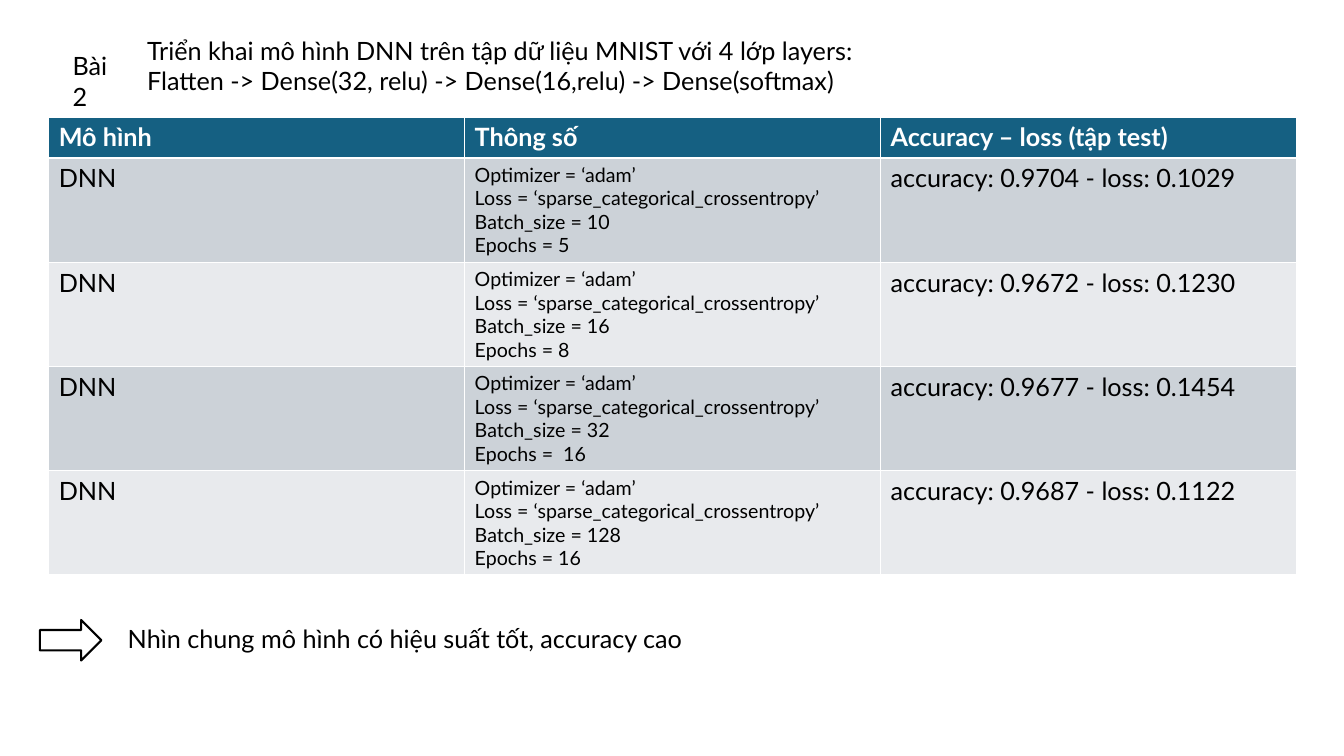
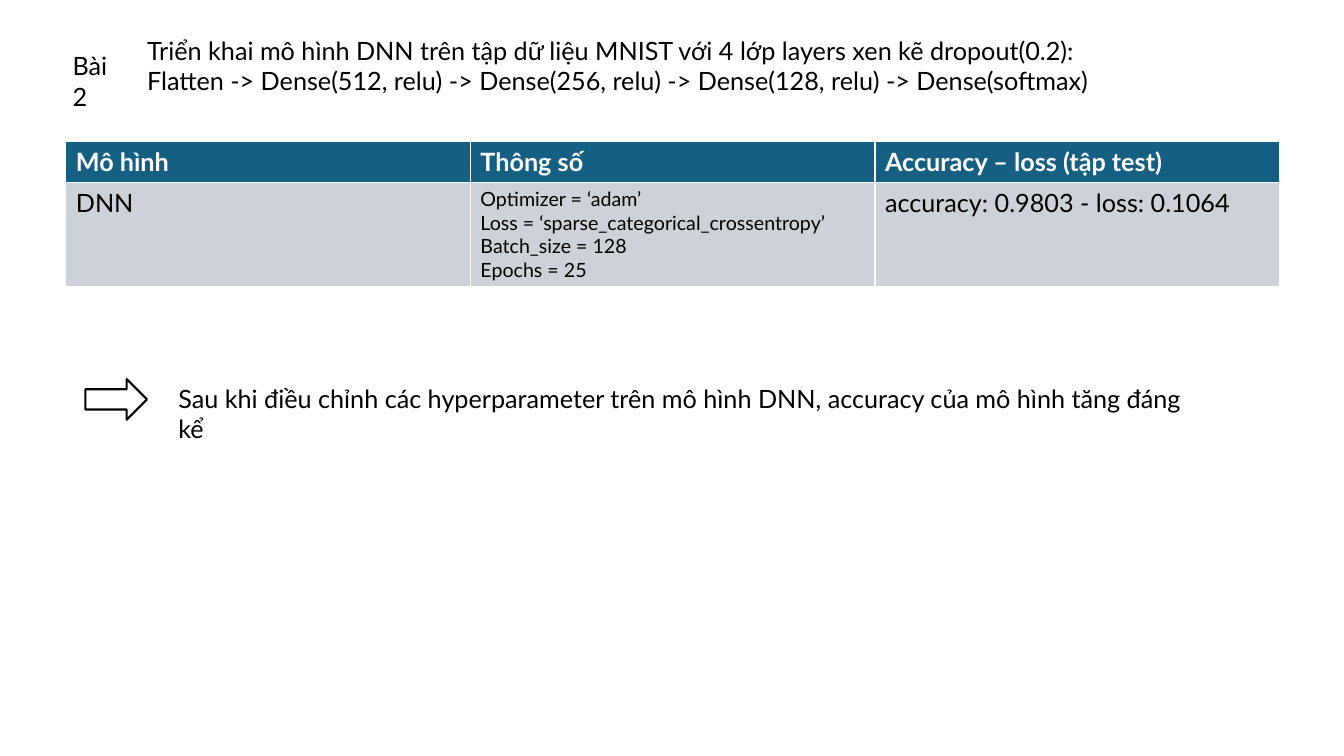
from pptx import Presentation
from pptx.dml.color import RGBColor
from pptx.enum.shapes import MSO_SHAPE
from pptx.util import Pt

RIGHT_ARROW = MSO_SHAPE.RIGHT_ARROW

FONT = "Lato"
BLACK, WHITE = "000000", "FFFFFF"
HEADER_FILL = "156082"
BAND_FILLS = ("CCD2D8", "E8EAED")
BODY_SIZE, SETTINGS_SIZE = 18, 14
HEADER_HEIGHT, ROW_HEIGHT = 29.2, 74.4
ARROW_WIDTH, ARROW_HEIGHT = 44, 29

EXERCISE = "Bài 2"
HEADINGS = ("Mô hình", "Thông số", "Accuracy – loss (tập test)")
MODEL = "DNN"

# Each run: batch size, epochs, accuracy, loss. Boxes: left, top, width in points.
SLIDES = [
    {
        "task": "Triển khai mô hình DNN trên tập dữ liệu MNIST với 4 lớp layers:\v"
                "Flatten -> Dense(32, relu) -> Dense(16,relu) -> Dense(softmax)",
        "task_width": 661,
        "runs": [
            ("10", "5", "0.9704", "0.1029"),
            ("16", "8", "0.9672", "0.1230"),
            ("32", " 16", "0.9677", "0.1454"),
            ("128", "16", "0.9687", "0.1122"),
        ],
        "results_box": (34.8, 83.6, 891.3),
        "conclusion": "Nhìn chung mô hình có hiệu suất tốt, accuracy cao",
        "conclusion_box": (84.2, 442, 413),
        "arrow_left": 28.5,
    },
    {
        "task": "Triển khai mô hình DNN trên tập dữ liệu MNIST với 4 lớp layers "
                "xen kẽ dropout(0.2):\v"
                "Flatten -> Dense(512, relu) -> Dense(256, relu) -> "
                "Dense(128, relu) -> Dense(softmax)",
        "task_width": 785,
        "runs": [("128", "25", "0.9803", "0.1064")],
        "results_box": (47, 101, 867),
        "conclusion": "Sau khi điều chỉnh các hyperparameter trên mô hình DNN, "
                      "accuracy của mô hình tăng đáng kể",
        "conclusion_box": (120.4, 270, 740),
        "arrow_left": 61,
    },
]


def rgb(value):
    return RGBColor.from_string(value)


def write(text_frame, text, size=BODY_SIZE, color=BLACK, bold=False):
    text_frame.text = text
    for paragraph in text_frame.paragraphs:
        for run in paragraph.runs:
            run.font.name = FONT
            run.font.size = Pt(size)
            run.font.bold = bold
            run.font.color.rgb = rgb(color)


def add_text(slide, text, left, top, width, height):
    box = slide.shapes.add_textbox(Pt(left), Pt(top), Pt(width), Pt(height))
    box.text_frame.word_wrap = True
    write(box.text_frame, text)


def add_results(slide, runs, left, top, width):
    """Add the table of runs; its white rules come from the default table style."""
    height = HEADER_HEIGHT + ROW_HEIGHT * len(runs)
    table = slide.shapes.add_table(
        len(runs) + 1, len(HEADINGS), Pt(left), Pt(top), Pt(width), Pt(height)
    ).table
    for column in table.columns:
        column.width = Pt(width / len(HEADINGS))

    def fill_row(index, row_height, fill, texts, sizes, **style):
        table.rows[index].height = Pt(row_height)
        for cell, text, size in zip(table.rows[index].cells, texts, sizes):
            cell.fill.solid()
            cell.fill.fore_color.rgb = rgb(fill)
            write(cell.text_frame, text, size, **style)

    fill_row(0, HEADER_HEIGHT, HEADER_FILL, HEADINGS,
             [BODY_SIZE] * len(HEADINGS), color=WHITE, bold=True)
    for index, (batch, epochs, accuracy, loss) in enumerate(runs):
        settings = "\n".join((
            "Optimizer = ‘adam’",
            "Loss = ‘sparse_categorical_crossentropy’",
            f"Batch_size = {batch}",
            f"Epochs = {epochs}",
        ))
        score = f"accuracy: {accuracy} - loss: {loss}"
        fill_row(index + 1, ROW_HEIGHT, BAND_FILLS[index % 2],
                 (MODEL, settings, score),
                 (BODY_SIZE, SETTINGS_SIZE, BODY_SIZE))


def add_conclusion(slide, text, box, arrow_left):
    left, top, width = box
    add_text(slide, text, left, top, width, ARROW_HEIGHT)
    arrow = slide.shapes.add_shape(
        RIGHT_ARROW, Pt(arrow_left), Pt(top + 0.8), Pt(ARROW_WIDTH), Pt(ARROW_HEIGHT)
    )
    arrow.shadow.inherit = False
    arrow.fill.solid()
    arrow.fill.fore_color.rgb = rgb(WHITE)
    arrow.line.color.rgb = rgb(BLACK)
    arrow.line.width = Pt(1.5)


def main():
    presentation = Presentation()
    presentation.slide_width, presentation.slide_height = Pt(960), Pt(540)
    blank = presentation.slide_layouts[6]
    for content in SLIDES:
        slide = presentation.slides.add_slide(blank)
        add_text(slide, EXERCISE, 44.8, 32.6, 52.5, 29)
        add_text(slide, content["task"], 98, 21.8, content["task_width"], 51)
        add_results(slide, content["runs"], *content["results_box"])
        add_conclusion(slide, content["conclusion"], content["conclusion_box"],
                       content["arrow_left"])
    presentation.save("out.pptx")


if __name__ == "__main__":
    main()
